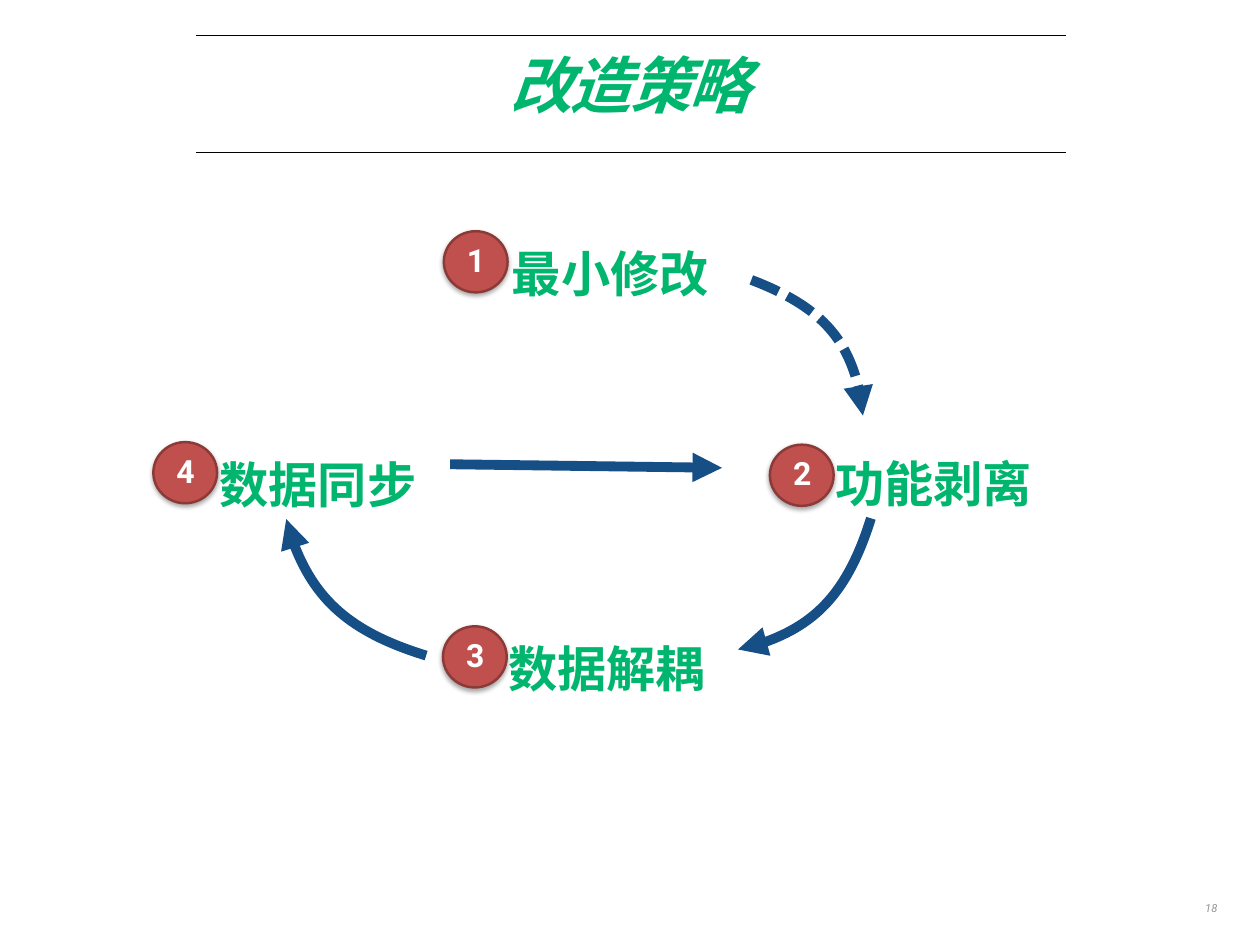
from pptx import Presentation
from pptx.dml.color import RGBColor
from pptx.enum.dml import MSO_LINE
from pptx.enum.shapes import MSO_CONNECTOR, MSO_SHAPE
from pptx.enum.text import MSO_ANCHOR, MSO_AUTO_SIZE, PP_ALIGN
from pptx.oxml import parse_xml
from pptx.oxml.ns import nsdecls, qn
from pptx.util import Pt
from lxml.etree import SubElement

GREEN = RGBColor(0x00, 0xB5, 0x6E)
RED = RGBColor(0xC0, 0x50, 0x4D)
DARK_RED = RGBColor(0x8C, 0x3A, 0x38)
BLUE = RGBColor(0x16, 0x4F, 0x86)
GRAY = RGBColor(0x92, 0x93, 0x96)
BLACK = RGBColor(0, 0, 0)
WHITE = RGBColor(0xFF, 0xFF, 0xFF)

# Number, label, badge corner and label corner, in points
STEPS = [
    ("1", "最小修改", (360.7, 187.9), (409, 185.8)),
    ("2", "功能剥离", (625.7, 361.4), (671.8, 356.4)),
    ("3", "数据解耦", (360, 509), (406.1, 506.9)),
    ("4", "数据同步", (124.6, 359.3), (171.4, 357.1)),
]
# Start, two control points and end of each curve, and its dash
CURVES = [
    ([(610.6, 227.5), (667.4, 249.1), (697.7, 285.8), (701.3, 337.7)], MSO_LINE.SQUARE_DOT),
    ([(707.8, 421.2), (689, 481.7), (653, 517.7), (599.8, 527.8)], None),
    ([(346.3, 532.8), (283, 513.4), (245.5, 476.6), (232.6, 421.9)], None),
]


def write_text(shape, text, size, color, font="Roboto", bold=False, italic=False,
               align=PP_ALIGN.LEFT, anchor=MSO_ANCHOR.TOP, spacing=None,
               inset=0, grow=False, wrap=True, tracking=None):
    frame = shape.text_frame
    frame.word_wrap = wrap
    frame.auto_size = MSO_AUTO_SIZE.SHAPE_TO_FIT_TEXT if grow else MSO_AUTO_SIZE.NONE
    frame.vertical_anchor = anchor
    frame.margin_left = frame.margin_right = Pt(inset)
    frame.margin_top = frame.margin_bottom = Pt(inset)
    para = frame.paragraphs[0]
    para.alignment = align
    para.line_spacing = spacing
    span = para.add_run()
    span.text = text
    span.font.name = font
    span.font.size = Pt(size)
    span.font.bold = bold
    span.font.italic = italic
    span.font.color.rgb = color
    if tracking is not None:
        span.font._element.set("spc", str(tracking * 100))


class SlideBuilder:
    def __init__(self, page):
        self.page = page

    def title(self, text, left, top, width, height):
        box = self.page.shapes.title
        box.left, box.top, box.width, box.height = map(Pt, (left, top, width, height))
        write_text(box, text, 50, GREEN, bold=True, italic=True, align=PP_ALIGN.CENTER,
                   anchor=MSO_ANCHOR.MIDDLE, spacing=0.7, tracking=-2)

    def text(self, text, left, top, width, height, shapes=None, **style):
        shapes = self.page.shapes if shapes is None else shapes
        box = shapes.add_textbox(Pt(left), Pt(top), Pt(width), Pt(height))
        write_text(box, text, **style)

    def line(self, start, end, color, width, arrow=False):
        line = self.page.shapes.add_connector(
            MSO_CONNECTOR.STRAIGHT, *map(Pt, start), *map(Pt, end))
        self.stroke(line, color, width, arrow)
        SubElement(line._element.spPr, qn("a:effectLst"))

    def stroke(self, shape, color, width, arrow=False, dash=None):
        shape.line.color.rgb = color
        shape.line.width = Pt(width)
        if dash is not None:
            shape.line.dash_style = dash
        if arrow:
            SubElement(shape.line._get_or_add_ln(), qn("a:tailEnd"), type="triangle")

    def curve(self, points, dash):
        start, *rest = [(Pt(x), Pt(y)) for x, y in points]
        builder = self.page.shapes.build_freeform(*start)
        builder.add_line_segments(rest, close=False)
        curve = builder.convert_to_shape()
        curve.shadow.inherit = False
        curve.fill.background()
        self.stroke(curve, BLUE, 8, arrow=True, dash=dash)
        # Turn the three straight segments into one Bézier segment
        outline = curve._element.find(".//" + qn("a:path"))
        segments = outline.findall(qn("a:lnTo"))
        bezier = SubElement(outline, qn("a:cubicBezTo"))
        for segment in segments:
            bezier.append(segment[0])
            outline.remove(segment)

    def badge(self, left, top, shapes):
        badge = shapes.add_shape(MSO_SHAPE.OVAL, Pt(left), Pt(top), Pt(51.8), Pt(49.7))
        badge.fill.solid()
        badge.fill.fore_color.rgb = RED
        self.stroke(badge, DARK_RED, 2)
        badge._element.spPr.append(parse_xml(
            f'<a:effectLst {nsdecls("a")}><a:outerShdw blurRad="{Pt(4)}" dist="{Pt(2)}" '
            'dir="5400000" rotWithShape="0"><a:srgbClr val="000000">'
            '<a:alpha val="35000"/></a:srgbClr></a:outerShdw></a:effectLst>'))

    def step(self, number, label, corner, label_corner):
        shapes = self.page.shapes.add_group_shape().shapes
        left, top = corner
        self.text(label, *label_corner, 186, 54.7, shapes=shapes, size=40, color=GREEN,
                  font="Calibri", bold=True, spacing=1.1, inset=7.2, grow=True)
        self.badge(left, top, shapes)
        self.text(number, left + 7.9, top + 3.2, 36.7, 39.6, shapes=shapes, size=26,
                  color=WHITE, bold=True, align=PP_ALIGN.CENTER,
                  anchor=MSO_ANCHOR.MIDDLE, inset=4.3)


def main():
    deck = Presentation()
    deck.slide_width, deck.slide_height = Pt(1024), Pt(768)
    page = deck.slides.add_slide(deck.slide_layouts[5])
    page.background.fill.solid()
    page.background.fill.fore_color.rgb = WHITE
    builder = SlideBuilder(page)

    # Title between two rules
    for y in (123.8, 28.8):
        builder.line((159.1, y), (866.2, y), BLACK, 1)
    builder.title("改造策略", 159.1, 37.4, 706.3, 77)

    # Page number
    builder.text("18", 972.7, 728.6, 20.9, 23, size=9, color=GRAY, italic=True,
                 align=PP_ALIGN.RIGHT, inset=4.3, grow=True, wrap=False)

    # Cycle of steps
    for step in STEPS:
        builder.step(*step)

    # Arrows between the steps
    for points, dash in CURVES:
        builder.curve(points, dash)
    builder.line((365.8, 377.3), (586.8, 380.2), BLUE, 8, arrow=True)

    deck.save("out.pptx")


if __name__ == "__main__":
    main()
